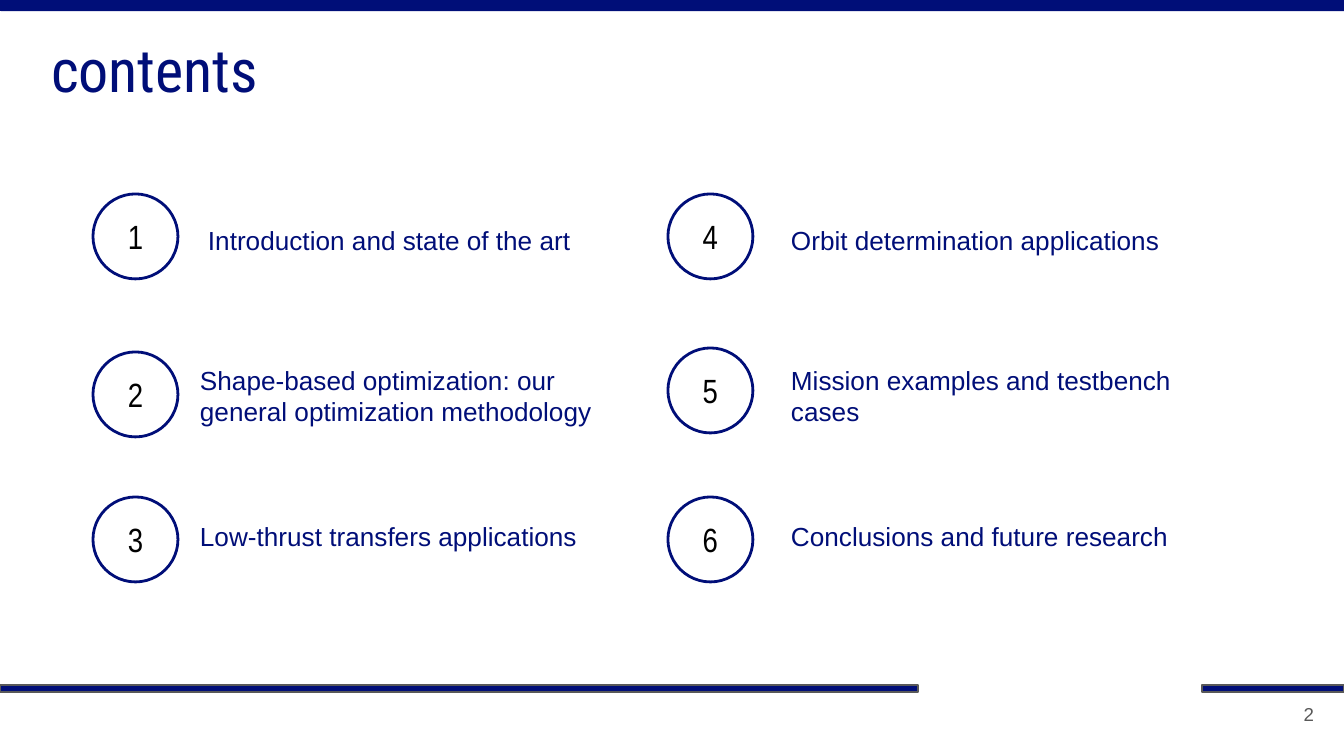
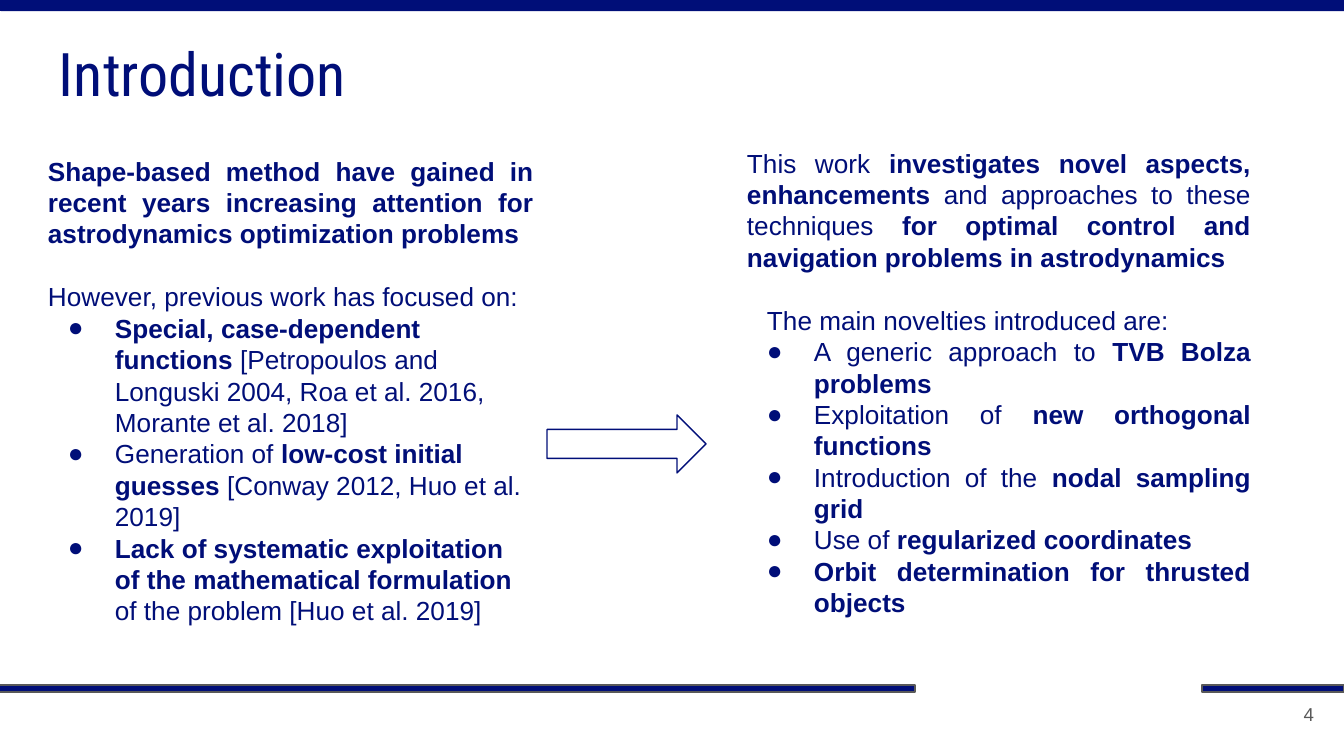
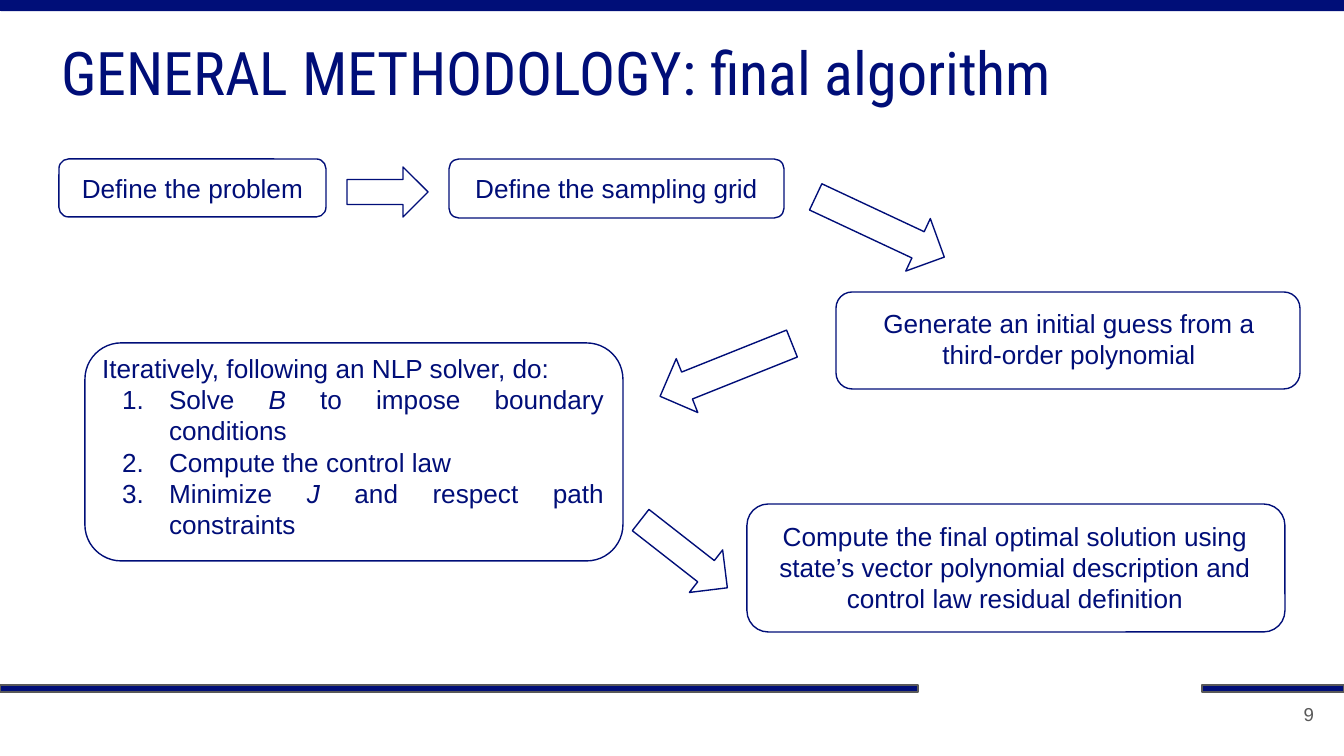
from lxml import etree
from pptx import Presentation
from pptx.dml.color import RGBColor
from pptx.enum.shapes import MSO_SHAPE
from pptx.enum.text import MSO_ANCHOR, MSO_AUTO_SIZE, PP_ALIGN
from pptx.oxml.ns import qn
from pptx.util import Pt

RECT, OVAL = MSO_SHAPE.RECTANGLE, MSO_SHAPE.OVAL
BAND = MSO_SHAPE.ROUND_2_SAME_RECTANGLE
ARROW = MSO_SHAPE.RIGHT_ARROW
STEP = MSO_SHAPE.FLOWCHART_ALTERNATE_PROCESS
LEFT, RIGHT = PP_ALIGN.LEFT, PP_ALIGN.RIGHT
MID, JUST = PP_ALIGN.CENTER, PP_ALIGN.JUSTIFY
TOP, CENTER = MSO_ANCHOR.TOP, MSO_ANCHOR.MIDDLE
GROW, FIXED = MSO_AUTO_SIZE.SHAPE_TO_FIT_TEXT, MSO_AUTO_SIZE.NONE

COLORS = {"navy": "000E78", "gray": "595959", "black": "000000"}
BODY, HEAD, DIGIT = "Arial", "Roboto Condensed", "Arial Narrow"
SCALE = 914400 / 134.4
WIDE, HIGH = 1344, 756
PAD, HANG, INSET = 13, 47, 67
BAR_TOP, BAR_HIGH = 685, 7
DISC = 85

TOPICS = [
    ((93, 668), (194, 194), [(195, 211), (778, 211)], 59,
     ("Introduction and state of the art", "Orbit determination applications")),
    ((93, 668), (352, 348), [(187, 351), (778, 351)], 90,
     ("Shape-based optimization: our general optimization methodology",
      "Mission examples and testbench cases")),
    ((93, 668), (497, 497), [(187, 507), (778, 507)], 59,
     ("Low-thrust transfers applications", "Conclusions and future research")),
]

PAST = [
    ("*Shape-based method have gained in recent years increasing attention "
     "for astrodynamics optimization problems*", {"align": JUST}),
    ("However, previous work has focused on:", {"gap": 17}),
    ("*Special, case-dependent functions* [Petropoulos and Longuski 2004, "
     "Roa et al. 2016, Morante et al. 2018]", {"mark": "●"}),
    ("Generation of *low-cost initial guesses *[Conway 2012, Huo et al. 2019]",
     {"mark": "●"}),
    ("*Lack of systematic exploitation of the mathematical formulation* "
     "of the problem [Huo et al. 2019]", {"mark": "●"}),
]

NOVEL = [
    ("This work *investigates novel aspects, enhancements* and approaches to "
     "these techniques *for optimal control and navigation problems in "
     "astrodynamics*", {"align": JUST}),
    ("The main novelties introduced are:",
     {"align": JUST, "gap": 17, "indent": 20}),
] + [(text, {"align": JUST, "mark": "●"}) for text in (
    "A generic approach to *TVB Bolza problems*",
    "Exploitation of *new orthogonal functions*",
    "Introduction of the *nodal sampling grid*",
    "Use of *regularized coordinates*",
    "*Orbit determination for thrusted objects*",
)]

SOLVER = [
    ("Iteratively, following an NLP solver, do:", {"align": JUST}),
] + [(text, {"align": JUST, "mark": "1."}) for text in (
    "Solve *B* to impose boundary conditions",
    "Compute the control law",
    "Minimize *J* and respect path constraints",
)]

STEPS = [
    ((59, 159, 267, 58), (59, 159, 267, 59),
     [("Define the problem", {"align": MID})]),
    ((449, 159, 335, 59), (449, 159, 335, 59),
     [("Define the sampling grid", {"align": MID})]),
    ((836, 292, 464, 97), (837, 294, 464, 90),
     [("Generate an initial guess from a third-order polynomial",
       {"align": MID})]),
    ((85, 343, 538, 218), (89, 339, 528, 218), SOLVER),
    ((747, 504, 538, 128), (751, 507, 528, 122),
     [("Compute the final optimal solution using state’s vector polynomial "
       "description and control law residual definition", {"align": MID})]),
]

FLOW = [
    ((347, 167, 81, 50), 0),
    ((809, 198, 142, 58), 25.1),
    ((655, 341, 142, 58), 158.2),
    ((629, 527, 110, 54), 38),
]


def px(num):
    return round(num * SCALE)


def place(box):
    return [px(num) for num in box]


def rgb(name):
    return RGBColor.from_string(COLORS[name])


def style(para, face=BODY, size=14, color="navy", align=LEFT):
    para.alignment = align
    for run in para.runs:
        run.font.name = face
        run.font.size = Pt(size)
        run.font.color.rgb = rgb(color)


def setup(frame, anchor=TOP, fit=FIXED):
    frame.word_wrap = True
    frame.auto_size = fit
    frame.vertical_anchor = anchor
    frame.margin_left = frame.margin_right = px(PAD)
    frame.margin_top = frame.margin_bottom = px(PAD)


def shape(shapes, kind, box, fill=None, line="navy", width=0.75, turn=0):
    item = shapes.add_shape(kind, *place(box))
    item.shadow.inherit = False
    item.rotation = turn
    if fill:
        item.fill.solid()
        item.fill.fore_color.rgb = rgb(fill)
    else:
        item.fill.background()
    if line:
        item.line.color.rgb = rgb(line)
        item.line.width = Pt(width)
    else:
        item.line.fill.background()
    return item


def bullet(para, mark):
    props = para._p.get_or_add_pPr()
    props.set("marL", str(px(INSET)))
    props.set("indent", str(-px(HANG)))
    tint = etree.SubElement(props, qn("a:buClr"))
    etree.SubElement(tint, qn("a:srgbClr"), val=COLORS["navy"])
    etree.SubElement(props, qn("a:buFont"), typeface=BODY)
    if mark == "1.":
        etree.SubElement(props, qn("a:buAutoNum"), type="arabicPeriod")
    else:
        etree.SubElement(props, qn("a:buChar"), char=mark)


def prose(slide, box, lines, stress="bold"):
    frame = slide.shapes.add_textbox(*place(box)).text_frame
    setup(frame, fit=GROW)
    for row, (text, look) in enumerate(lines):
        para = frame.add_paragraph() if row else frame.paragraphs[0]
        for part, words in enumerate(text.split("*")):
            if words:
                run = para.add_run()
                run.text = words
                if part % 2:
                    setattr(run.font, stress, True)
        style(para, align=look.get("align", LEFT))
        if "gap" in look:
            para.space_before = Pt(look["gap"])
        if "indent" in look:
            para._p.get_or_add_pPr().set("marL", str(px(look["indent"])))
        if "mark" in look:
            bullet(para, look["mark"])


def base(deck, title, left, top, page, shift=0):
    slide = deck.slides.add_slide(deck.slide_layouts[5])
    head = slide.shapes.title
    head.left, head.top, head.width, head.height = place((left, top, 1253, 128))
    head.text_frame.text = title
    setup(head.text_frame, CENTER)
    style(head.text_frame.paragraphs[0], HEAD, 32.2)
    for start, width in ((shift, 918), (1202, 142)):
        shape(slide.shapes, RECT, (start, BAR_TOP, width, BAR_HIGH),
              "navy", "gray")
    shape(slide.shapes, BAND, (-1, 0, 1352, 11), "navy", None, turn=180)
    frame = slide.shapes.add_textbox(*place((1246, BAR_TOP, 81, 58))).text_frame
    frame.text = page
    setup(frame, CENTER)
    style(frame.paragraphs[0], size=10, color="gray", align=RIGHT)
    return slide


def disc(shapes, left, top, digit):
    item = shape(shapes, OVAL, (left, top, DISC, DISC), width=1.5)
    item.text_frame.text = digit
    setup(item.text_frame, CENTER)
    style(item.text_frame.paragraphs[0], DIGIT, 18, "black", MID)


def contents(deck):
    slide = base(deck, "contents", 38, 4, "2")
    for col in range(2):
        group = slide.shapes.add_group_shape()
        for row, (lefts, tops, spots, high, names) in enumerate(TOPICS):
            digit = str(col * len(TOPICS) + row + 1)
            disc(group.shapes, lefts[col], tops[col], digit)
            prose(slide, (*spots[col], 456, high), [(names[col], {})])


def intro(deck):
    slide = base(deck, "Introduction", 46, 8, "4", -3)
    prose(slide, (35, 142, 512, 503), PAST)
    prose(slide, (734, 134, 530, 534), NOVEL)
    shape(slide.shapes, ARROW, (547, 415, 159, 58))


def method(deck):
    slide = base(deck, "GENERAL METHODOLOGY: final algorithm", 48, 7, "9")
    for box, area, lines in STEPS:
        shape(slide.shapes, STEP, box)
        prose(slide, area, lines, "italic")
    for box, turn in FLOW:
        shape(slide.shapes, ARROW, box, turn=turn)


def main():
    deck = Presentation()
    deck.slide_width, deck.slide_height = px(WIDE), px(HIGH)
    contents(deck)
    intro(deck)
    method(deck)
    deck.save("out.pptx")


if __name__ == "__main__":
    main()
